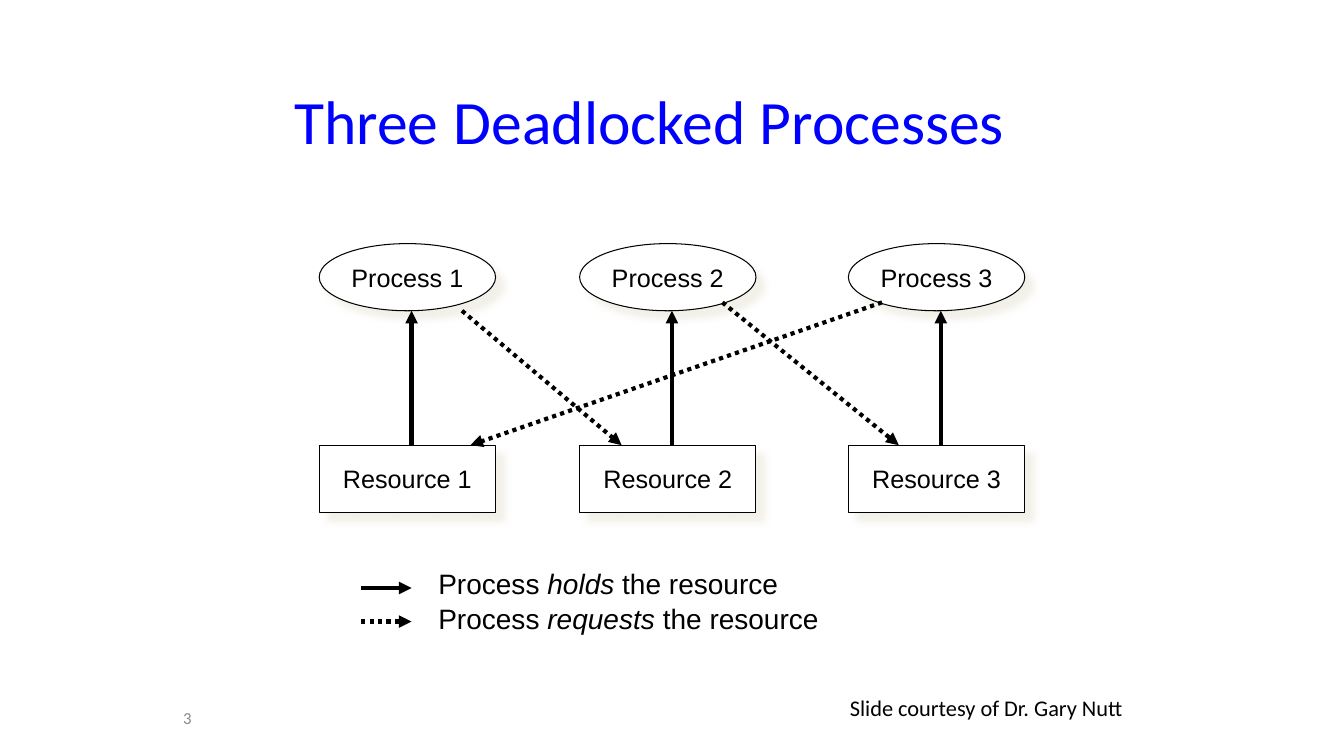
from lxml import etree
from pptx import Presentation
from pptx.dml.color import RGBColor
from pptx.enum.dml import MSO_LINE_DASH_STYLE as DASH
from pptx.enum.shapes import MSO_CONNECTOR, MSO_SHAPE
from pptx.enum.text import MSO_ANCHOR as ANCHOR, PP_ALIGN as ALIGN
from pptx.oxml import parse_xml
from pptx.oxml.ns import nsdecls, qn
from pptx.util import Pt

COLORS = {
    "title": "0000FF",
    "ink": "000000",
    "paper": "FFFFFF",
    "shadow": "EEECE1",
    "number": "898989",
}


def write(paragraph, text, size=18, font="Arial", color="ink", bold=False, italic=False):
    run = paragraph.add_run()
    run.text = text
    run.font.size = Pt(size)
    run.font.name = font
    run.font.bold = bold
    run.font.italic = italic
    run.font.color.rgb = RGBColor.from_string(COLORS[color])


def add_text_box(left, top, width, height, anchor=ANCHOR.TOP, align=ALIGN.LEFT):
    box = slide.shapes.add_textbox(Pt(left), Pt(top), Pt(width), Pt(height))
    box.text_frame.word_wrap = True
    box.text_frame.vertical_anchor = anchor
    paragraph = box.text_frame.paragraphs[0]
    paragraph.alignment = align
    return paragraph


presentation = Presentation()
presentation.slide_width = Pt(960)
presentation.slide_height = Pt(540)
slide = presentation.slides.add_slide(presentation.slide_layouts[6])

title = add_text_box(156, 36, 616, 96, ANCHOR.MIDDLE, ALIGN.CENTER)
write(title, "Three", size=44, font="Calibri", color="title")
write(title, " ", size=48, font="Calibri", color="title", bold=True)
write(title, "Deadlocked Processes", size=44, font="Calibri", color="title")

columns = [228, 414, 606]
rows = [("Process", MSO_SHAPE.OVAL, 174), ("Resource", MSO_SHAPE.RECTANGLE, 318)]
for label, kind, top in rows:
    for number, left in enumerate(columns, start=1):
        shape = slide.shapes.add_shape(kind, Pt(left), Pt(top), Pt(126), Pt(48))
        shape.fill.solid()
        shape.fill.fore_color.rgb = RGBColor.from_string(COLORS["paper"])
        shape.line.color.rgb = RGBColor.from_string(COLORS["ink"])
        shape.line.width = Pt(0.75)
        shape.shadow.inherit = False
        effects = shape._element.spPr.find(qn("a:effectLst"))
        effects.append(parse_xml(
            f'<a:outerShdw {nsdecls("a")} blurRad="{Pt(5)}" dist="{Pt(8.5)}" '
            f'dir="2700000" algn="ctr" rotWithShape="0">'
            f'<a:srgbClr val="{COLORS["shadow"]}"><a:alpha val="75000"/></a:srgbClr>'
            f'</a:outerShdw>'))
        shape.text_frame.word_wrap = False
        shape.text_frame.vertical_anchor = ANCHOR.MIDDLE
        paragraph = shape.text_frame.paragraphs[0]
        paragraph.alignment = ALIGN.CENTER
        write(paragraph, f"{label} {number}")

holds = [(left + 66, 318, left + 66, 222) for left in columns]
holds.append((258, 420, 294, 420))
requests = [
    (330, 222, 444, 318),
    (516, 216, 642, 318),
    (630, 216, 336, 318),
    (258, 444, 294, 444),
]
for arrows, dash in [(holds, DASH.SOLID), (requests, DASH.ROUND_DOT)]:
    for ends in arrows:
        arrow = slide.shapes.add_connector(MSO_CONNECTOR.STRAIGHT, *map(Pt, ends))
        arrow.line.color.rgb = RGBColor.from_string(COLORS["ink"])
        arrow.line.width = Pt(3)
        arrow.line.dash_style = dash
        etree.SubElement(arrow.line._get_or_add_ln(), qn("a:tailEnd"), type="triangle")
        etree.SubElement(arrow._element.spPr, qn("a:effectLst"))

for verb, top, width in [("holds", 401, 260), ("requests", 426, 288)]:
    legend = add_text_box(306, top, width, 32)
    write(legend, "Process ", size=20)
    write(legend, verb, size=20, italic=True)
    write(legend, " the resource", size=20)

credit = add_text_box(600, 492, 216, 27)
write(credit, "Slide courtesy of Dr. Gary Nutt", size=16, font="Calibri")

page_number = add_text_box(40, 498, 104, 29, ANCHOR.MIDDLE, ALIGN.RIGHT)
write(page_number, "3", size=12, font="Calibri", color="number")

presentation.save("out.pptx")
